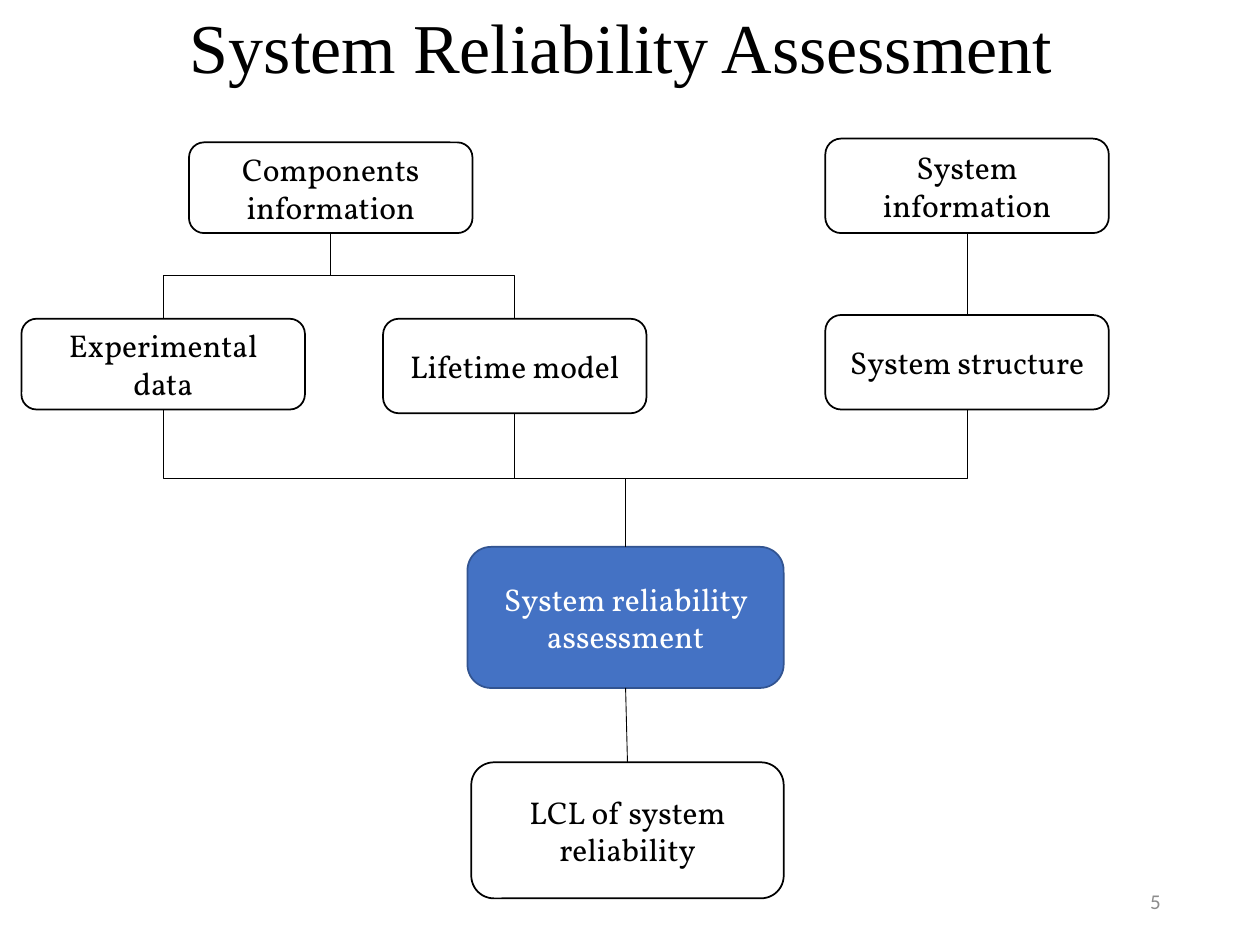
from pptx import Presentation
from pptx import util as u
from pptx.dml.color import RGBColor
from pptx.enum import shapes, text
from pptx.oxml.ns import qn
from lxml import etree

PX = u.Inches(1) // 100  # 100 px to the inch
HUES = {"ink": "000000", "paper": "FFFFFF", "blue": "4472C4",
        "edge": "325491", "grey": "8C8C8C"}
TOP, BASE = 0, 2  # connection sites


def px(*sizes):
    return [u.Emu(round(n * PX)) for n in sizes]


def hue(name):
    return RGBColor.from_string(HUES[name])


def write(shape, words, face, size, ink, align):
    frame = shape.text_frame
    frame.text = words
    frame.word_wrap = True
    frame.vertical_anchor = text.MSO_ANCHOR.MIDDLE
    para = frame.paragraphs[0]
    para.alignment = align
    font = para.runs[0].font
    font.name, font.size = face, u.Pt(size)
    font.color.rgb = hue(ink)
    return para


def node(slide, box, words, fill="paper", line="ink", ink="ink"):
    shape = slide.shapes.add_shape(
        shapes.MSO_SHAPE.ROUNDED_RECTANGLE, *px(*box))
    shape.shadow.inherit = False
    shape.fill.solid()
    shape.fill.fore_color.rgb = hue(fill)
    shape.line.color.rgb = hue(line)
    shape.line.width = u.Pt(1)
    write(shape, words, "Vollkorn", 18, ink, text.PP_ALIGN.CENTER)
    return shape


def wire(slide, kind, *ends):
    line = slide.shapes.add_connector(kind, *[u.Emu(n) for n in ends])
    line.line.color.rgb = hue("ink")
    line.line.width = u.Pt(0.5)
    etree.SubElement(line._element.spPr, qn("a:effectLst"))
    return line


def join(slide, upper, lower):
    line = wire(slide, shapes.MSO_CONNECTOR.STRAIGHT, 0, 0, 0, 0)
    line.begin_connect(upper, BASE)
    line.end_connect(lower, TOP)


def foot(shape):
    return shape.left + shape.width // 2, shape.top + shape.height


def head(shape):
    return shape.left + shape.width // 2, shape.top


def bend(slide, start, end, form="bentConnector3"):
    """Elbow that leaves downwards: a level elbow given a quarter turn."""
    (x1, y1), (x2, y2) = start, end
    wide, high = y2 - y1, abs(x2 - x1)
    left, top = (x1 + x2 - wide) // 2, (y1 + y2 - high) // 2
    line = wire(slide, shapes.MSO_CONNECTOR.ELBOW,
                left, top, left + wide, top + high)
    props = line._element.spPr
    props.find(qn("a:prstGeom")).set("prst", form)
    turn = props.find(qn("a:xfrm"))
    turn.set("rot", str((270 if x2 > x1 else 90) * 60000))
    if x2 > x1:
        turn.set("flipH", "1")


def title(slide, box):
    shape = slide.shapes.title
    shape.left, shape.top, shape.width, shape.height = px(*box)
    para = write(shape, "System Reliability Assessment ",
                 "Times New Roman", 40, "ink", text.PP_ALIGN.CENTER)
    para.line_spacing = 0.9


def parts(slide, box):
    """Components information, split into data and model."""
    x, y, w, h = box
    root = node(slide, (x + 133, y, 225, 72), "Components information")
    data = node(slide, (x, y + h - 75, 225, 72), "Experimental data")
    model = node(slide, (x + w - 209, y + h - 75, 209, 75), "Lifetime model")
    for leaf in (data, model):
        bend(slide, foot(root), head(leaf))
    return data, model


def system(slide, box):
    """System information above system structure."""
    x, y, w, h = box
    info = node(slide, (x, y, w, 75), "System information")
    plan = node(slide, (x, y + h - 75, w, 75), "System structure")
    join(slide, info, plan)
    return plan


def result(slide, box):
    """Assessment above its confidence limit."""
    x, y, w, h = box
    goal = node(slide, (x, y, w, 112), "System reliability assessment",
                "blue", "edge", "paper")
    limit = node(slide, (x + 3, y + h - 108, w - 3, 108),
                 "LCL of system reliability")
    join(slide, goal, limit)
    return goal


def merge(slide, data, model, plan, goal):
    """Lead the three inputs into the assessment along one level."""
    bend(slide, foot(data), head(goal))
    x, y = head(goal)
    hub = x, (foot(data)[1] + y) // 2
    for source in (model, plan):
        bend(slide, foot(source), hub, "bentConnector2")


def number(slide, box):
    shape = slide.shapes.add_textbox(*px(*box))
    write(shape, "5", "Calibri", 12, "grey", text.PP_ALIGN.RIGHT)


def main():
    deck = Presentation()
    deck.slide_width, deck.slide_height = px(1000, 750)
    slide = deck.slides.add_slide(deck.slide_layouts[5])
    title(slide, (0, 0, 1000, 80))
    data, model = parts(slide, (17, 113, 496, 215))
    plan = system(slide, (655, 110, 225, 215))
    goal = result(slide, (371, 434, 251, 279))
    merge(slide, data, model, plan, goal)
    number(slide, (706, 695, 225, 40))
    deck.save("out.pptx")


if __name__ == "__main__":
    main()
